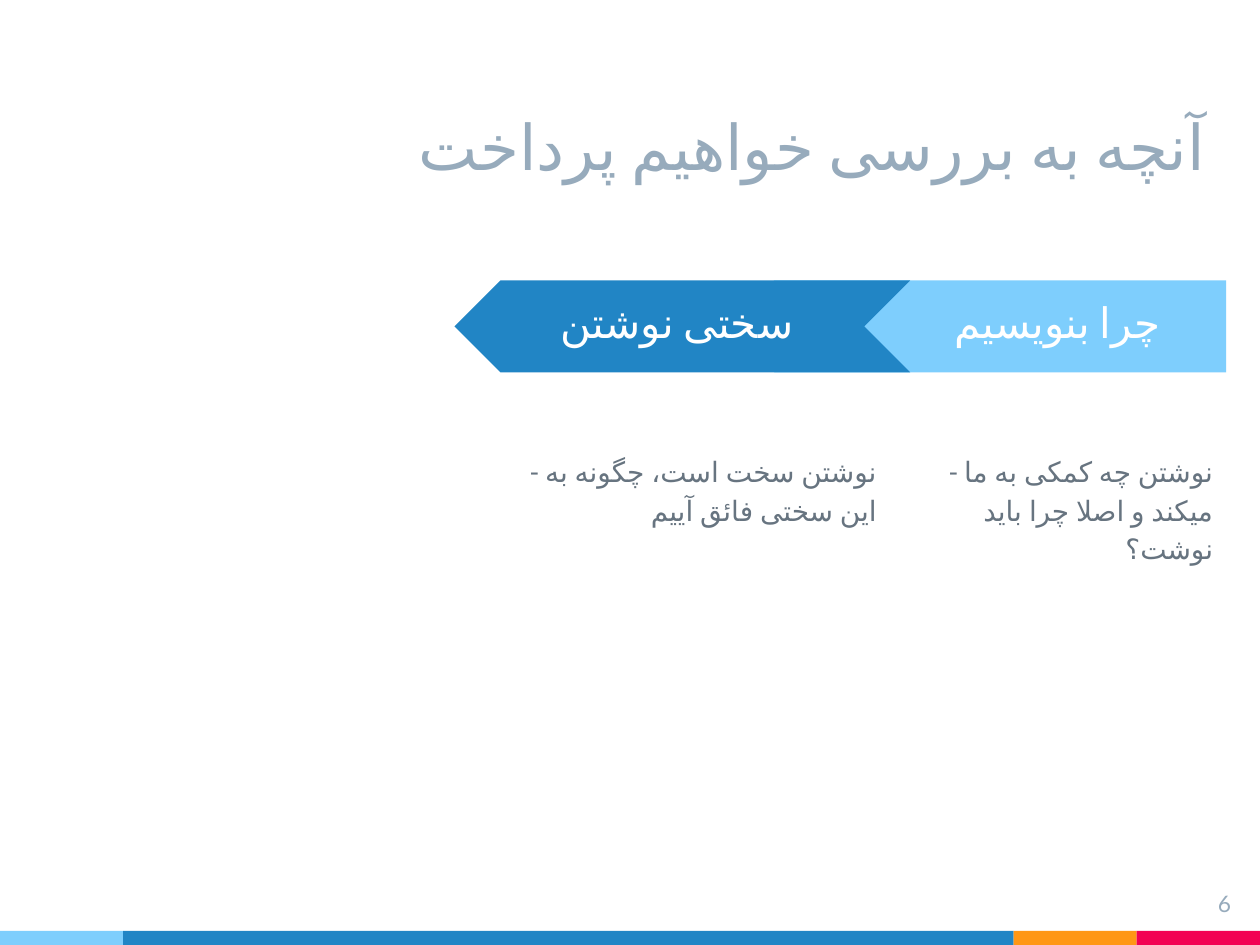
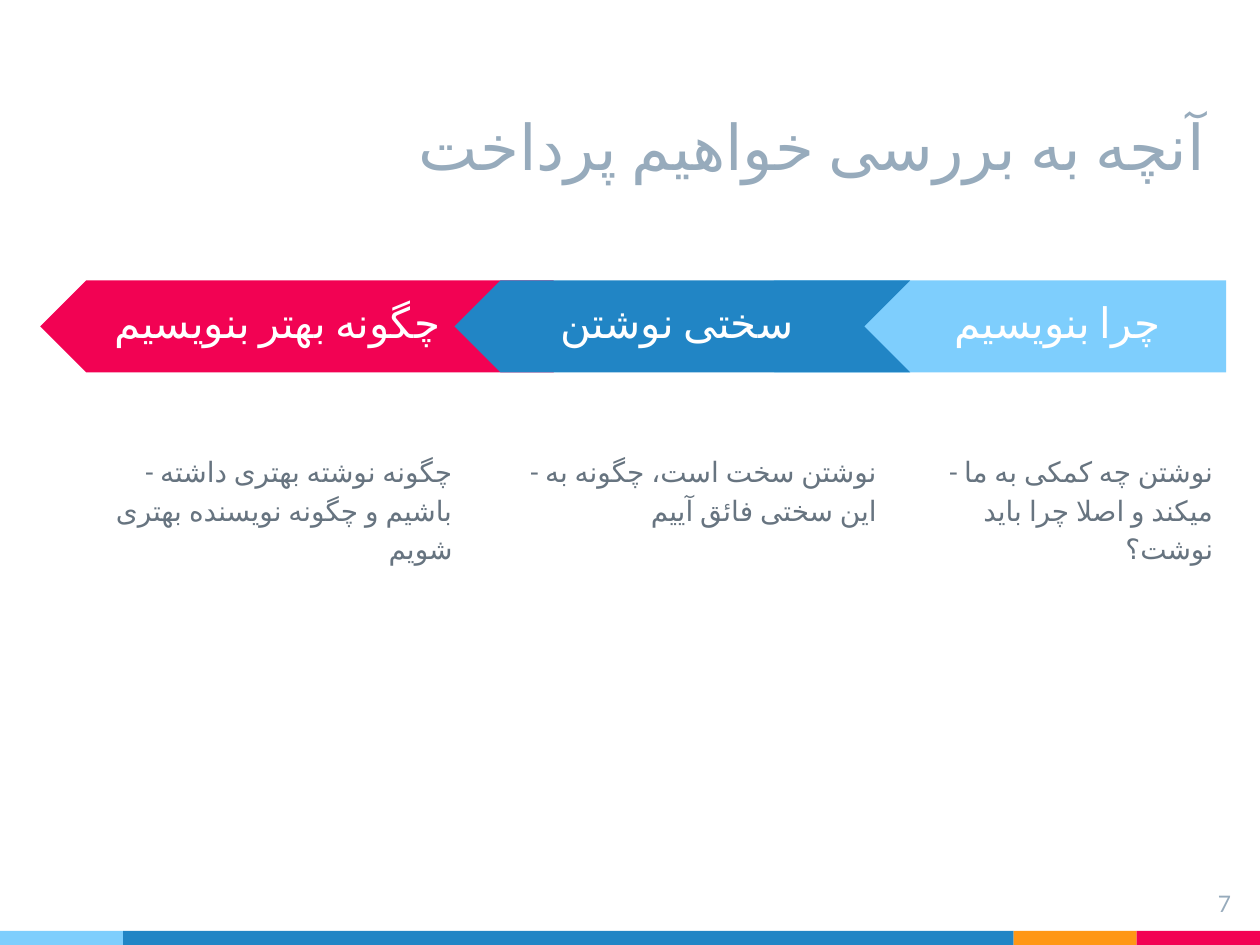
from lxml import etree
from pptx import Presentation
from pptx.dml.color import RGBColor
from pptx.enum.lang import MSO_LANGUAGE_ID
from pptx.enum.shapes import MSO_SHAPE
from pptx.enum.text import MSO_ANCHOR, MSO_AUTO_SIZE, PP_ALIGN
from pptx.oxml.ns import qn
from pptx.util import Pt

RECTANGLE, PENTAGON, CHEVRON = MSO_SHAPE.RECTANGLE, MSO_SHAPE.PENTAGON, MSO_SHAPE.CHEVRON
TOP, BOTTOM = MSO_ANCHOR.TOP, MSO_ANCHOR.BOTTOM
RIGHT, CENTER = PP_ALIGN.RIGHT, PP_ALIGN.CENTER
NO_AUTOFIT = MSO_AUTO_SIZE.NONE
PERSIAN, ENGLISH = MSO_LANGUAGE_ID.FARSI, MSO_LANGUAGE_ID.ENGLISH_US

# Content: each step has its heading, description and horizontal extents (left, width)
TITLE = "آنچه به بررسی خواهیم پرداخت"
STEPS = {
    "why": dict(
        heading="چرا بنویسیم",
        description="- نوشتن چه کمکی به ما میکند و اصلا چرا باید نوشت؟",
        outline=PENTAGON, color="sky",
        arrow=(416.2, 284.4), heading_box=(508.3, 192.2), description_box=(508.3, 192.2)),
    "difficulty": dict(
        heading="سختی نوشتن",
        description="- نوشتن سخت است، چگونه به این سختی فائق آییم",
        outline=CHEVRON, color="blue",
        arrow=(259.7, 260.4), heading_box=(290.9, 192.2), description_box=(290.9, 217.4)),
    "better": dict(
        heading="چگونه بهتر بنویسیم",
        description="- چگونه نوشته بهتری داشته باشیم و چگونه نویسنده بهتری شویم",
        outline=CHEVRON, color="red",
        arrow=(23, 293.5), heading_box=(45.4, 226.1), description_box=(49, 216.7)),
}
# Page number and steps, from back to front
SLIDES = [
    ("6", ["why", "difficulty"]),
    ("7", ["better", "why", "difficulty"]),
]

# Theme and shared layout
THEME = dict(
    colors=dict(sky="7ECEFD", blue="2185C5", orange="FF9715", red="F20253",
                title="97ABBC", body="677480", white="FFFFFF"),
    title=dict(font="Cabin", size=36, color="title"),
    heading=dict(font="Cabin", size=24, color="white"),
    body=dict(font="Roboto", size=16, color="body"),
    number=dict(font="Lato", size=13, color="title"),
)
SLIDE_WIDTH, SLIDE_HEIGHT = 720, 540
INSET = 7.2
BAND_HEIGHT, BAND_UNIT = 8, 70.4
BAND = [("sky", BAND_UNIT), ("blue", SLIDE_WIDTH - 3 * BAND_UNIT),
        ("orange", BAND_UNIT), ("red", BAND_UNIT)]
TITLE_BOX = (70.4, 51.8, 625.7, 59.8)
NUMBER_BOX = (667.4, 501.1, 43.2, 33.1)
ARROW_TOP, ARROW_HEIGHT = 160.2, 52.6
HEADING_TOP, HEADING_HEIGHT = 162, 51.1
DESCRIPTION_TOP, DESCRIPTION_HEIGHT = 249.8, 205.9


def theme_color(name):
    return RGBColor.from_string(THEME["colors"][name])


def write_text(shape, text, style, align=RIGHT, anchor=TOP, line_spacing=None,
               space_before=0, language=PERSIAN):
    frame = shape.text_frame
    frame.word_wrap = True
    frame.auto_size = NO_AUTOFIT
    frame.vertical_anchor = anchor
    frame.margin_left = frame.margin_right = Pt(INSET)
    frame.margin_top = frame.margin_bottom = Pt(INSET)
    paragraph = frame.paragraphs[0]
    paragraph.alignment = align
    paragraph.space_before = Pt(space_before)
    if line_spacing:
        paragraph.line_spacing = line_spacing
    run = paragraph.add_run()
    run.text = text
    font_style = THEME[style]
    run.font.language_id = language
    run.font.size = Pt(font_style["size"])
    run.font.color.rgb = theme_color(font_style["color"])
    run.font.name = font_style["font"]
    # Persian text takes the complex-script font
    properties = run.font._element
    etree.SubElement(properties, qn("a:cs")).set("typeface", font_style["font"])


def add_text(slide, box, text, style, **text_format):
    shape = slide.shapes.add_textbox(*map(Pt, box))
    write_text(shape, text, style, **text_format)


def add_filled(slide, outline, box, color):
    shape = slide.shapes.add_shape(outline, *map(Pt, box))
    shape.shadow.inherit = False
    shape.fill.solid()
    shape.fill.fore_color.rgb = theme_color(color)
    shape.line.fill.background()
    return shape


def add_band(slide):
    left = 0
    for color, width in BAND:
        add_filled(slide, RECTANGLE, (left, SLIDE_HEIGHT - BAND_HEIGHT, width, BAND_HEIGHT), color)
        left += width


def add_title(slide):
    title = slide.shapes.title
    title.left, title.top, title.width, title.height = map(Pt, TITLE_BOX)
    write_text(title, TITLE, "title", anchor=BOTTOM)


def add_step(slide, step):
    left, width = step["arrow"]
    arrow = add_filled(slide, step["outline"], (left, ARROW_TOP, width, ARROW_HEIGHT), step["color"])
    arrow.rotation = 180
    arrow.adjustments[0] = 0.5
    left, width = step["description_box"]
    add_text(slide, (left, DESCRIPTION_TOP, width, DESCRIPTION_HEIGHT),
             step["description"], "body", line_spacing=1.15)


def add_heading(slide, step):
    left, width = step["heading_box"]
    add_text(slide, (left, HEADING_TOP, width, HEADING_HEIGHT),
             step["heading"], "heading", align=CENTER, space_before=6)


# Build the slides
presentation = Presentation()
presentation.slide_width, presentation.slide_height = Pt(SLIDE_WIDTH), Pt(SLIDE_HEIGHT)
title_only = presentation.slide_layouts[5]

for number, step_names in SLIDES:
    slide = presentation.slides.add_slide(title_only)
    steps = [STEPS[name] for name in step_names]
    add_band(slide)
    add_title(slide)
    for step in steps:
        add_step(slide, step)
    add_text(slide, NUMBER_BOX, number, "number", language=ENGLISH)
    # Headings lie above all the overlapping arrows
    for step in steps:
        add_heading(slide, step)

presentation.save("out.pptx")
